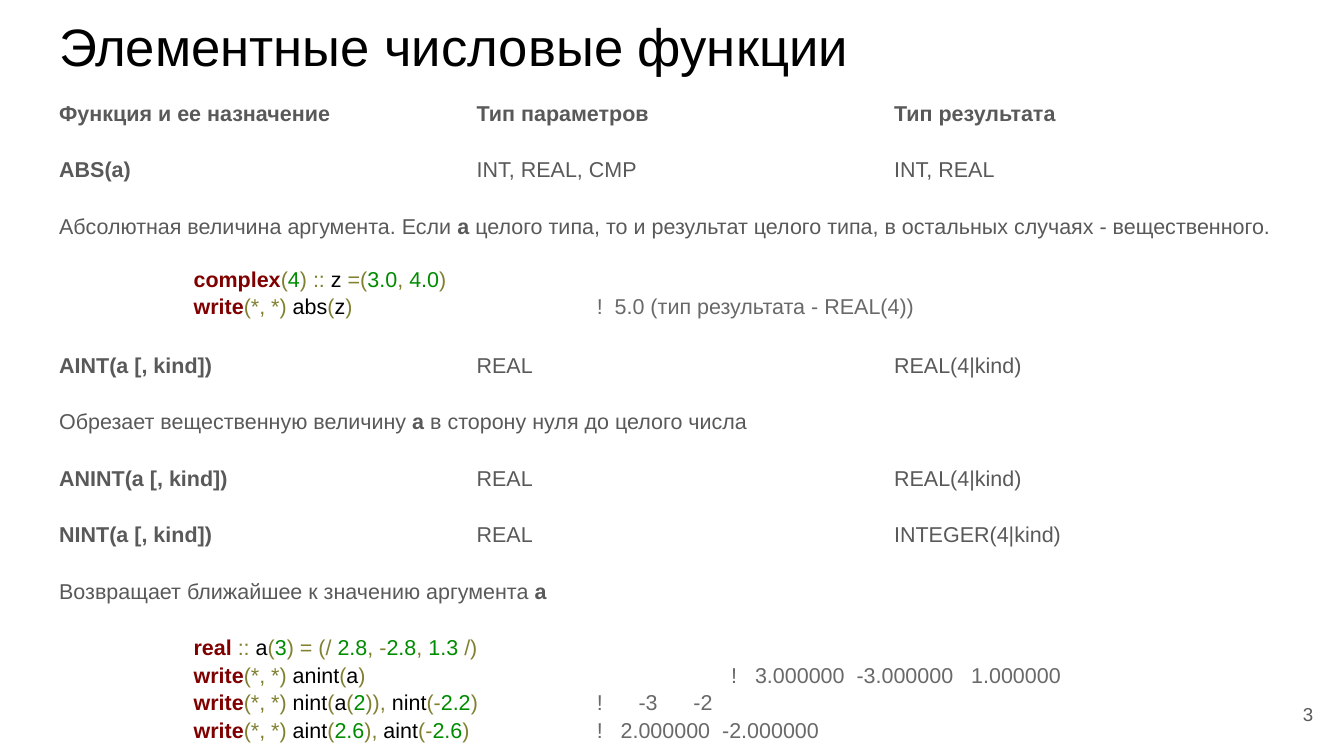
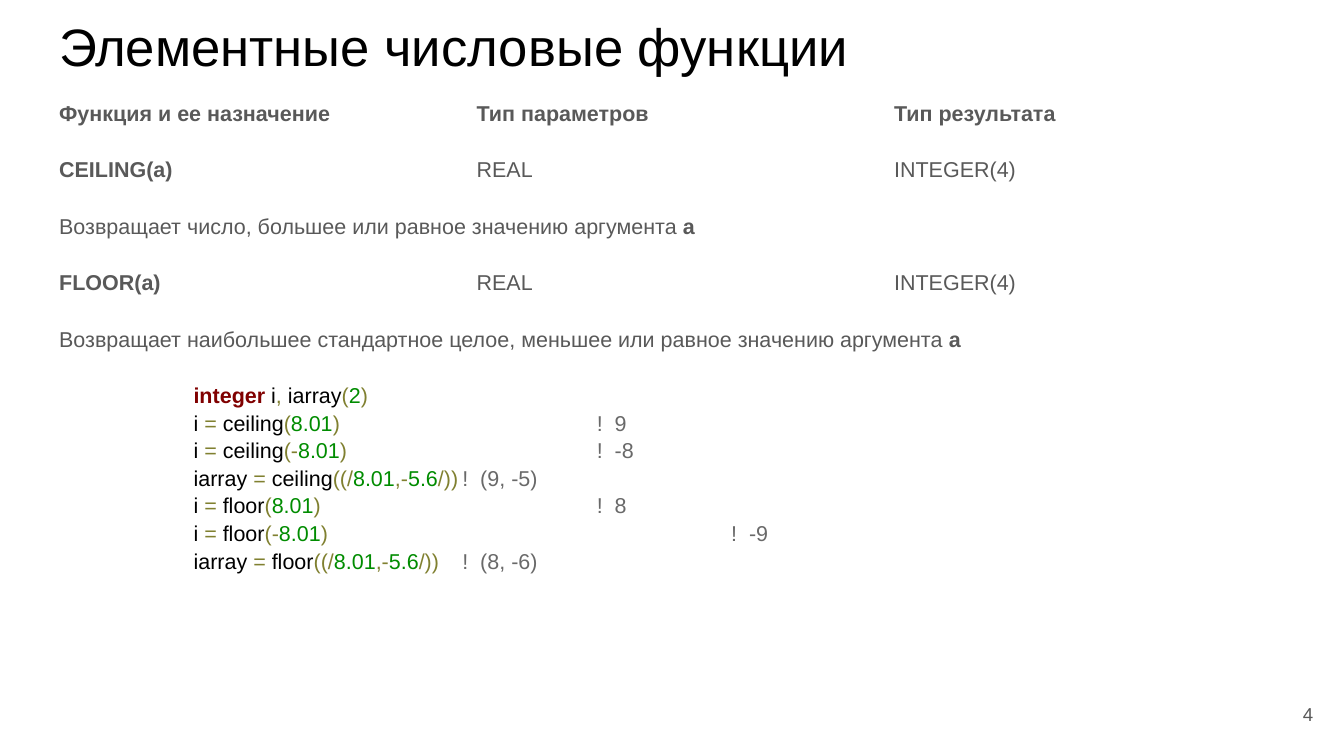
from dataclasses import dataclass
from itertools import groupby

import lxml.etree
import pptx
import pptx.dml.color
import pptx.enum.text
import pptx.oxml.ns
import pptx.util

Inches = pptx.util.Inches
Pt = pptx.util.Pt
qn = pptx.oxml.ns.qn


@dataclass(frozen=True)
class Theme:
    font: str = "Arial"
    title_size: float = 28.2
    body_size: float = 11.5
    number_size: float = 10
    title: str = "000000"
    body: str = "595959"
    keyword: str = "800000"
    operator: str = "808030"
    number: str = "008C00"
    name: str = "000000"
    comment: str = "696969"
    line_spacing: float = 1.15
    space_after: float = 6
    inset: float = 0.1
    left: float = 0.34
    content_width: float = 9.32
    row_height: float = 0.39
    tab_stops: tuple = (1, 2, 3, 4, 5)
    table_style: str = "{2D5ABB26-0587-4C30-8999-92F81FD0307C}"  # no style, no grid


@dataclass(frozen=True)
class Code:
    """A listing across all columns, over one or more table rows."""
    lines: tuple
    row_heights: tuple
    first_spacing: float = 1.15


THEME = Theme()
TITLE = "Элементные числовые функции"
HEADINGS = ("Функция и ее назначение", "Тип параметров", "Тип результата")
KEYWORDS = ("complex", "write", "real", "integer")

# A tuple is a row of three cells; a string is a description with *bold* parts.
ROUNDING_ROWS = (
    ("ABS(a)", "INT, REAL, CMP", "INT, REAL"),
    "Абсолютная величина аргумента. Если *a* целого типа, то и результат "
    "целого типа, в остальных случаях - вещественного.",
    Code((
        "complex(4) :: z =(3.0, 4.0)",
        "write(*, *) abs(z)\t\t!  5.0 (тип результата - REAL(4))",
    ), (0.58,), first_spacing=1.0),
    ("AINT(a [, kind])", "REAL", "REAL(4|kind)"),
    "Обрезает вещественную величину *a* в сторону нуля до целого числа",
    ("ANINT(a [, kind])\t", "REAL", "REAL(4|kind)"),
    ("NINT(a [, kind])", "REAL", "INTEGER(4|kind)"),
    "Возвращает ближайшее к значению аргумента *a*",
    Code((
        "real :: a(3) = (/ 2.8, -2.8, 1.3 /)",
        "write(*, *) anint(a)\t\t\t!   3.000000  -3.000000   1.000000",
        "write(*, *) nint(a(2)), nint(-2.2)\t!      -3      -2",
        "write(*, *) aint(2.6), aint(-2.6)\t!   2.000000  -2.000000",
    ), (0.38, 0.67)),
)
BOUND_ROWS = (
    ("CEILING(a)", "REAL", "INTEGER(4)"),
    "Возвращает число, большее или равное значению аргумента *a*",
    ("FLOOR(a)", "REAL", "INTEGER(4)"),
    "Возвращает наибольшее стандартное целое, меньшее или равное значению аргумента *a*",
    Code((
        "integer i, iarray(2)",
        "i = ceiling(8.01)\t\t!  9",
        "i = ceiling(-8.01)\t\t!  -8",
        "iarray = ceiling((/8.01,-5.6/))\t!  (9, -5)",
        "i = floor(8.01)\t\t\t!  8",
        "i = floor(-8.01)\t\t\t!  -9",
        "iarray = floor((/8.01,-5.6/))\t!  (8, -6)",
    ), (0.39, 0.39, 0.39, 0.38, 0.67)),
)


def style_font(font, size, color):
    font.name = THEME.font
    font.size = Pt(size)
    font.color.rgb = pptx.dml.color.RGBColor.from_string(color)


def set_insets(frame):
    """Give a text frame or a table cell the shared inset on all sides."""
    frame.margin_left = frame.margin_right = Inches(THEME.inset)
    frame.margin_top = frame.margin_bottom = Inches(THEME.inset)


def set_tab_stops(para):
    """Add the code tab stops; the paragraph font must be set already."""
    stops = lxml.etree.Element(qn("a:tabLst"))
    for position in THEME.tab_stops:
        lxml.etree.SubElement(stops, qn("a:tab"), pos=str(Inches(position)), algn="l")
    para._p.pPr.find(qn("a:defRPr")).addprevious(stops)


def add_span(para, text, color=None, bold=None):
    span = para.add_run()
    span.text = text
    if color:
        span.font.color.rgb = pptx.dml.color.RGBColor.from_string(color)
    if bold:
        span.font.bold = True


def add_title(slide):
    box = slide.shapes.title
    box.left, box.top = Inches(THEME.left), Inches(0)
    box.width, box.height = Inches(THEME.content_width), Inches(0.63)
    frame = box.text_frame
    frame.text = TITLE
    frame.auto_size = pptx.enum.text.MSO_AUTO_SIZE.NONE
    frame.vertical_anchor = pptx.enum.text.MSO_ANCHOR.TOP
    set_insets(frame)
    para = frame.paragraphs[0]
    para.alignment = pptx.enum.text.PP_ALIGN.LEFT
    style_font(para.font, THEME.title_size, THEME.title)


def add_page_number(slide, number):
    box = slide.shapes.add_textbox(Inches(9.27), Inches(5.1), Inches(0.6), Inches(0.43))
    frame = box.text_frame
    frame.word_wrap = True
    frame.vertical_anchor = pptx.enum.text.MSO_ANCHOR.MIDDLE
    set_insets(frame)
    para = frame.paragraphs[0]
    para.text = str(number)
    para.alignment = pptx.enum.text.PP_ALIGN.RIGHT
    style_font(para.font, THEME.number_size, THEME.body)


def token_color(char):
    if char.isalpha() or char.isspace():
        return THEME.name
    if char.isdigit() or char == ".":
        return THEME.number
    return THEME.operator


def write_code_line(para, line):
    """Write one indented line of Fortran with its syntax colours."""
    statement, mark, comment = line.partition("!")
    code = statement.rstrip("\t")
    add_span(para, "\t")
    keyword = next((word for word in KEYWORDS if code.startswith(word)), "")
    if keyword:
        add_span(para, keyword, THEME.keyword, bold=True)
    for color, chars in groupby(code[len(keyword):], token_color):
        add_span(para, "".join(chars), color)
    if mark:
        add_span(para, statement[len(code):])
        add_span(para, mark + comment, THEME.comment)


def write_code(cell, code):
    frame = cell.text_frame
    for index, line in enumerate(code.lines):
        para = frame.add_paragraph() if index else frame.paragraphs[0]
        para.line_spacing = THEME.line_spacing if index else code.first_spacing
        style_font(para.font, THEME.body_size, THEME.body)
        set_tab_stops(para)
        write_code_line(para, line)


def write_text(cell, text, bold=False):
    """Write a paragraph in which *stars* enclose bold words."""
    para = cell.text_frame.paragraphs[0]
    para.line_spacing = THEME.line_spacing
    para.space_after = Pt(THEME.space_after)
    for index, part in enumerate(text.split("*")):
        if part:
            add_span(para, part, bold=bold or index % 2 == 1)


def add_blank_table(slide, heights):
    frame = slide.shapes.add_table(
        len(heights), len(HEADINGS), Inches(THEME.left), Inches(0.63),
        Inches(THEME.content_width), Inches(sum(heights)))
    table = frame.table
    table.first_row = table.horz_banding = False
    next(frame._element.iter(qn("a:tableStyleId"))).text = THEME.table_style
    for column in table.columns:
        column.width = Inches(THEME.content_width / len(HEADINGS))
    for row, height in zip(table.rows, heights):
        row.height = Inches(height)
        for cell in row.cells:
            cell.fill.background()
            set_insets(cell)
            style_font(cell.text_frame.paragraphs[0].font, THEME.body_size, THEME.body)
    return table


def add_function_table(slide, entries):
    entries = (HEADINGS,) + entries
    groups = [entry.row_heights if isinstance(entry, Code) else (THEME.row_height,)
              for entry in entries]
    table = add_blank_table(slide, [height for group in groups for height in group])
    top = 0
    for entry, group in zip(entries, groups):
        cell = table.cell(top, 0)
        if isinstance(entry, tuple):
            for column, text in enumerate(entry):
                write_text(table.cell(top, column), text,
                           bold=column == 0 or entry is HEADINGS)
        else:
            cell.merge(table.cell(top + len(group) - 1, len(HEADINGS) - 1))
            if isinstance(entry, Code):
                write_code(cell, entry)
            else:
                write_text(cell, entry)
        top += len(group)


def main():
    deck = pptx.Presentation()
    deck.slide_width, deck.slide_height = Inches(10), Inches(10 * 9 / 16)
    for number, entries in enumerate((ROUNDING_ROWS, BOUND_ROWS), start=3):
        slide = deck.slides.add_slide(deck.slide_layouts[5])
        add_title(slide)
        add_page_number(slide, number)
        add_function_table(slide, entries)
    deck.save("out.pptx")


if __name__ == "__main__":
    main()
